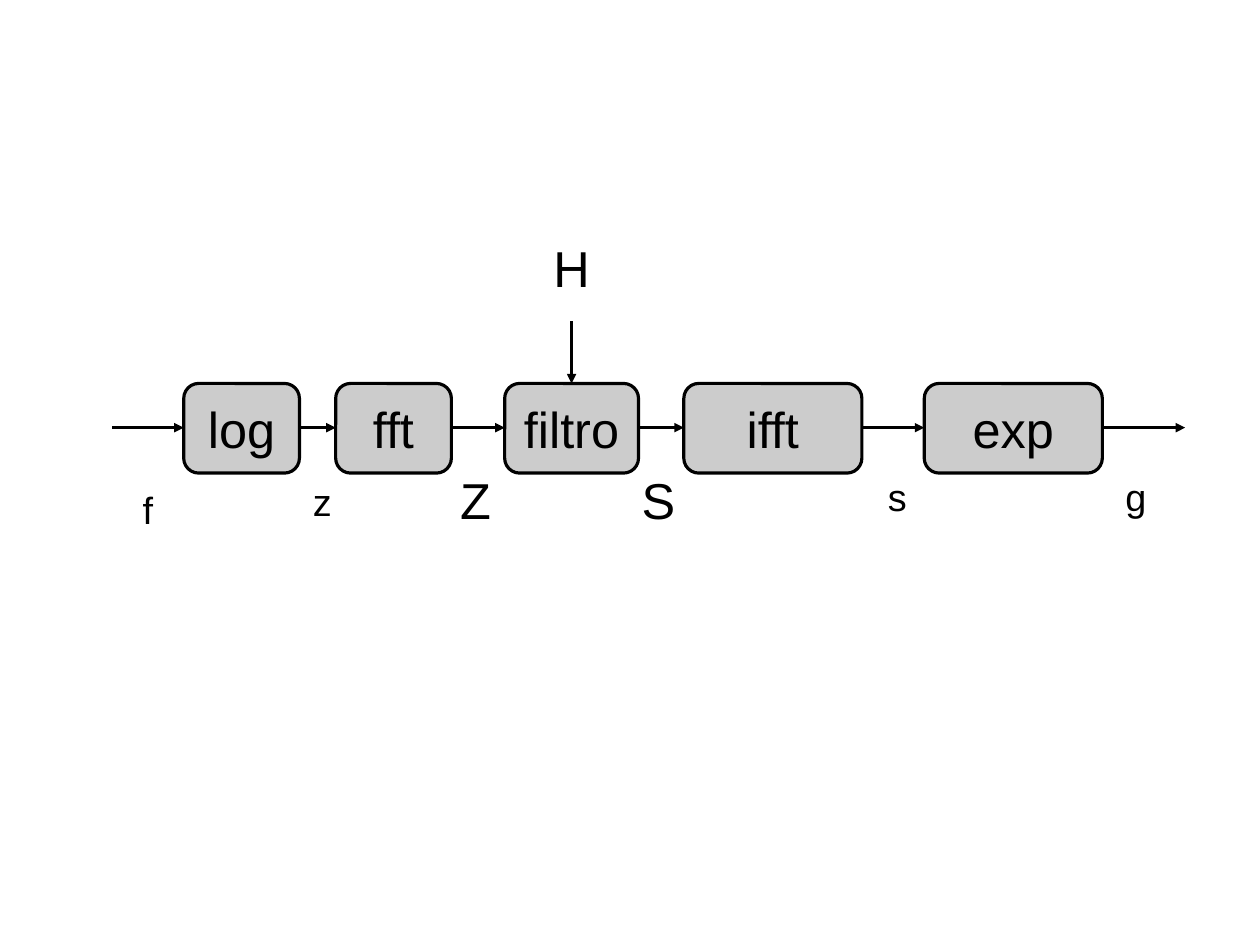
import pptx
import pptx.dml.color
import pptx.enum.shapes
import pptx.enum.text
import pptx.oxml
import pptx.oxml.ns
import pptx.util

Inches = pptx.util.Inches
COLORS = {"ink": "000000", "block": "CCCCCC"}


class Diagram:
    """Draws blocks, arrows and labels on one slide in a shared style."""

    font_name = "Arial"
    line_width = pptx.util.Pt(2)

    def __init__(self, slide):
        self.slide = slide

    def color(self, name):
        return pptx.dml.color.RGBColor.from_string(COLORS[name])

    def outline(self, line):
        line.color.rgb = self.color("ink")
        line.width = self.line_width

    def add_text(self, shape, text, size):
        frame = shape.text_frame
        frame.word_wrap = False
        frame.vertical_anchor = pptx.enum.text.MSO_ANCHOR.MIDDLE
        paragraph = frame.paragraphs[0]
        paragraph.alignment = pptx.enum.text.PP_ALIGN.CENTER
        run = paragraph.add_run()
        run.text = text
        run.font.name = self.font_name
        run.font.size = pptx.util.Pt(size)
        run.font.color.rgb = self.color("ink")

    def block(self, text, left, top, width, height):
        shape = self.slide.shapes.add_shape(
            pptx.enum.shapes.MSO_SHAPE.ROUNDED_RECTANGLE,
            Inches(left), Inches(top), Inches(width), Inches(height))
        shape.shadow.inherit = False
        shape.fill.solid()
        shape.fill.fore_color.rgb = self.color("block")
        self.outline(shape.line)
        self.add_text(shape, text, 32)

    def arrow(self, x1, y1, x2, y2):
        connector = self.slide.shapes.add_connector(
            pptx.enum.shapes.MSO_CONNECTOR.STRAIGHT,
            Inches(x1), Inches(y1), Inches(x2), Inches(y2))
        self.outline(connector.line)
        properties = connector._element.spPr
        head = pptx.oxml.parse_xml(
            f'<a:tailEnd {pptx.oxml.ns.nsdecls("a")} type="triangle"/>')
        properties.find(pptx.oxml.ns.qn("a:ln")).append(head)
        properties.append(pptx.oxml.parse_xml(
            f'<a:effectLst {pptx.oxml.ns.nsdecls("a")}/>'))

    def label(self, text, left, top, width, size):
        height = 0.64 if size == 32 else 0.5
        box = self.slide.shapes.add_textbox(
            Inches(left), Inches(top), Inches(width), Inches(height))
        self.add_text(box, text, size)


presentation = pptx.Presentation()
presentation.slide_width = Inches(11.11)
presentation.slide_height = Inches(8.33)
diagram = Diagram(presentation.slides.add_slide(presentation.slide_layouts[6]))

block_top, block_height, flow_y = 3.38, 0.79, 3.77
stages = [
    ("log", 1.62, 1.02),
    ("fft", 2.96, 1.02),
    ("filtro", 4.45, 1.18),
    ("ifft", 6.03, 1.57),
    ("exp", 8.15, 1.57),
]
arrow_start = 0.99
for name, left, width in stages:
    diagram.arrow(arrow_start, flow_y, left, flow_y)
    diagram.block(name, left, block_top, width, block_height)
    arrow_start = left + width
diagram.arrow(arrow_start, flow_y, 10.45, flow_y)

filter_center = 5.04
diagram.arrow(filter_center, 2.83, filter_center, block_top)

signals = [
    ("H", 4.78, 2.04, 0.52, 32),
    ("f", 1.16, 4.24, 0.29, 24),
    ("z", 2.66, 4.17, 0.36, 24),
    ("Z", 3.96, 4.08, 0.46, 32),
    ("S", 5.56, 4.08, 0.48, 32),
    ("s", 7.73, 4.13, 0.36, 24),
    ("g", 9.82, 4.13, 0.39, 24),
]
for signal in signals:
    diagram.label(*signal)

presentation.save("out.pptx")
